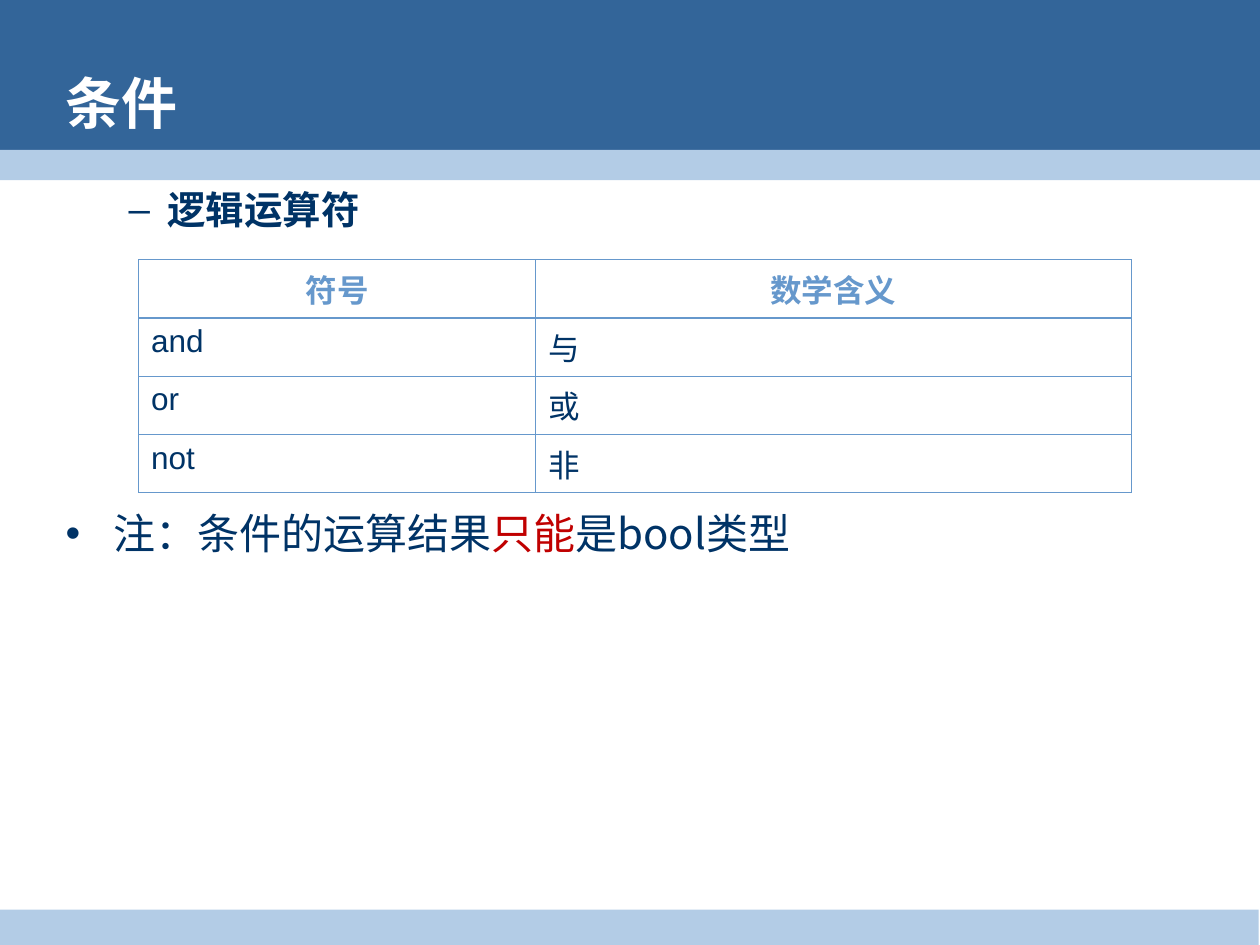
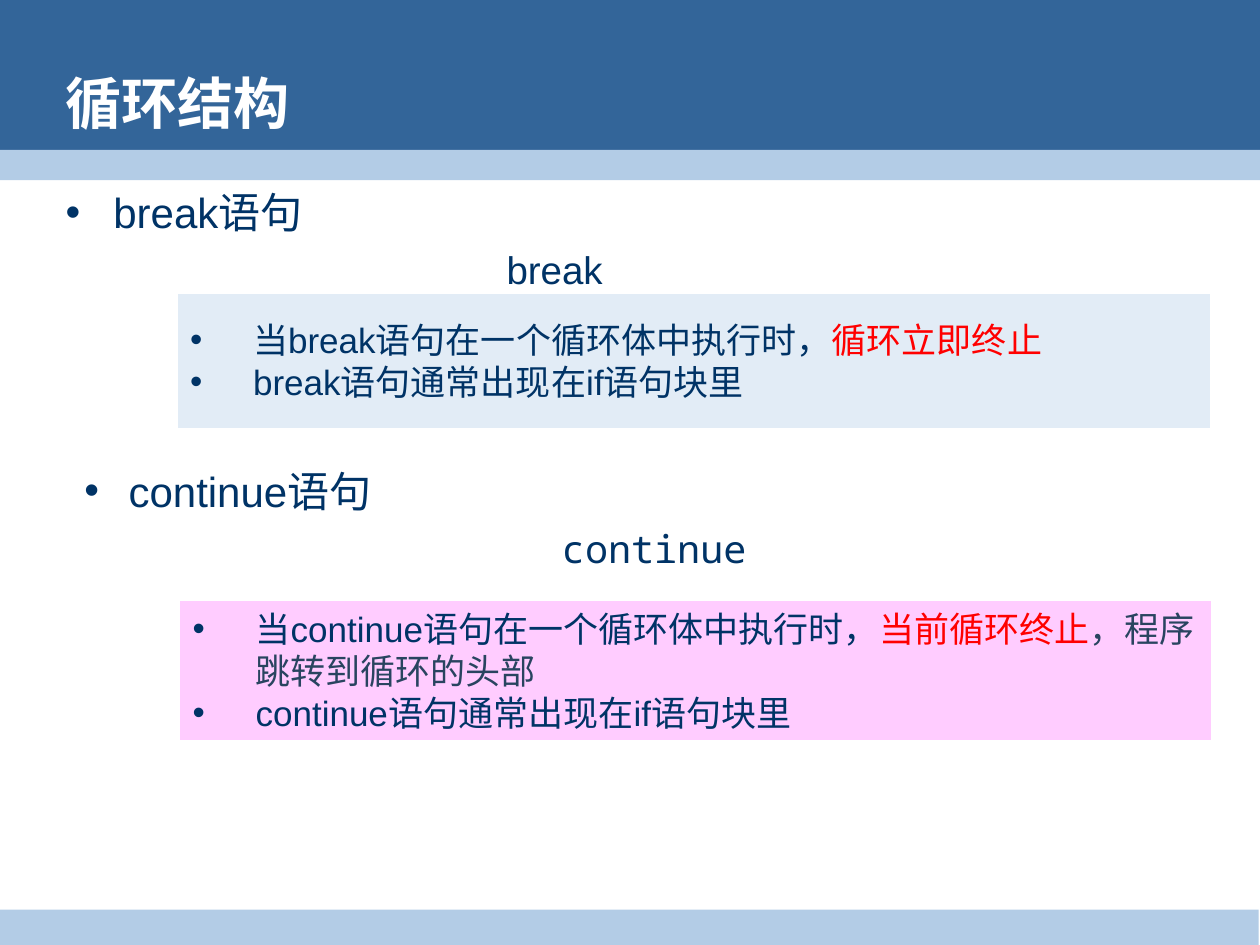
import pptx
import pptx.dml.color
import pptx.enum.shapes
import pptx.enum.text
import pptx.oxml
import pptx.oxml.ns
import pptx.util
import lxml.etree

Inches = pptx.util.Inches
Pt = pptx.util.Pt
ALIGN = pptx.enum.text.PP_ALIGN
ANCHOR = pptx.enum.text.MSO_ANCHOR
SHAPE = pptx.enum.shapes.MSO_SHAPE
NAVY, BLUE, PALE, SKY = "003366", "336599", "B3CCE6", "6698CC"
RED, DARK_RED, SLATE = "FF0000", "C00000", "294460"
SANS, CJK, MONO = "Arial", "Noto Sans CJK SC", "Noto Sans Mono"


def rgb(value):
    return pptx.dml.color.RGBColor.from_string(value)


def child(parent, tag, **attrs):
    return lxml.etree.SubElement(parent, pptx.oxml.ns.qn(tag), attrs)


def add_text(p, text, size=24, color=NAVY, font=SANS, bold=False):
    r = p.add_run()
    r.text = text
    r.font.size = Pt(size)
    r.font.bold = bold
    r.font.name = font
    r.font.color.rgb = rgb(color)
    child(r.font._element, "a:ea", typeface=CJK)


class Deck:
    def __init__(self):
        self.prs = pptx.Presentation()
        self.prs.slide_width, self.prs.slide_height = Inches(10), Inches(7.5)
        self.layout = self.prs.slide_layouts[1]
        self.s = None

    def box(self, at, fill, kind=SHAPE.RECTANGLE):
        sp = self.s.shapes.add_shape(kind, *map(Inches, at))
        sp.shadow.inherit = False
        sp.fill.solid()
        sp.fill.fore_color.rgb = rgb(fill)
        sp.line.fill.background()
        return sp

    def bands(self):
        bands = (((0, 0, 10, 1.31), BLUE), ((0, 1.19, 10, 0.24), PALE),
                 ((0, 7.22, 9.99, 0.3), PALE))
        for i, (at, fill) in enumerate(bands):
            sp = self.box(at, fill)
            sp.element.nvSpPr.cNvPr.set("id", str(100 + i))
            self.layout.shapes.element.insert(2 + i, sp.element)

    def place(self, sp, at, anchor):
        sp.left, sp.top, sp.width, sp.height = map(Inches, at)
        tf = sp.text_frame
        tf.word_wrap = True
        tf.auto_size = pptx.enum.text.MSO_AUTO_SIZE.NONE
        tf.vertical_anchor = anchor
        return tf

    def slide(self, title):
        first = self.s is None
        self.s = self.prs.slides.add_slide(self.layout)
        if first:
            self.bands()
        tf = self.place(self.s.shapes.title, (0.42, 0.52, 9.06, 0.58), ANCHOR.MIDDLE)
        p = tf.paragraphs[0]
        p.alignment = ALIGN.LEFT
        add_text(p, title, size=32, color="FFFFFF", bold=True)

    def paragraph(self, tf, runs, left, hang=0, before=0, bullet=None, level=0, **style):
        p = tf.paragraphs[0] if not tf.paragraphs[0].runs else tf.add_paragraph()
        p.level = level
        p.alignment = ALIGN.LEFT
        p.space_before = Pt(before)
        pPr = p._p.get_or_add_pPr()
        pPr.set("marL", str(Inches(left)))
        pPr.set("indent", str(-Inches(hang)))
        if bullet:
            child(child(pPr, "a:buClr"), "a:srgbClr", val=NAVY)
            child(pPr, "a:buFont", typeface=SANS)
            child(pPr, "a:buChar", char=bullet)
        else:
            child(pPr, "a:buNone")
        for text, color in runs:
            add_text(p, text, color=color, **style)

    def body(self, paragraphs):
        tf = self.place(self.s.placeholders[1], (0.42, 1.43, 9.48, 5.83), ANCHOR.TOP)
        for paragraph in paragraphs:
            self.paragraph(tf, **paragraph)

    def note(self, at, fill, lines):
        sp = self.box(at, fill, SHAPE.FLOWCHART_PROCESS)
        tf = self.place(sp, at, ANCHOR.MIDDLE)
        for runs in lines:
            self.paragraph(tf, runs, left=0.5, hang=0.5, bullet="•", size=20)

    def border(self, cell, row):
        tcPr = cell._tc.get_or_add_tcPr()
        for i, side in enumerate("LRTB"):
            heavy = (row, side) in ((0, "B"), (1, "T"))
            ln = child(tcPr, f"a:ln{side}", w=str(Pt(1.47 if heavy else 0.45)))
            child(child(ln, "a:solidFill"), "a:srgbClr", val=SKY)
            tcPr.insert(i, ln)

    def table(self, at, widths, row_height, rows):
        frame = self.s.shapes.add_table(len(rows), len(widths), *map(Inches, at))
        table = frame.table
        table.first_row = table.horz_banding = False
        for column, width in zip(table.columns, widths):
            column.width = Inches(width)
        for i, values in enumerate(rows):
            table.rows[i].height = Inches(row_height)
            for j, value in enumerate(values):
                cell = table.cell(i, j)
                cell.fill.background()
                self.border(cell, i)
                p = cell.text_frame.paragraphs[0]
                p.alignment = ALIGN.LEFT if i else ALIGN.CENTER
                add_text(p, value, size=18, color=NAVY if i else SKY, bold=i == 0)


def conditions(deck):
    deck.slide("条件")
    deck.body([
        dict(runs=[("逻辑运算符", NAVY)], left=0.81, hang=0.31, bullet="–",
             level=1, size=22, bold=True),
        dict(runs=[("注：条件的运算结果", NAVY), ("只能", DARK_RED), ("是bool类型", NAVY)],
             left=0.38, hang=0.38, before=157, bullet="•", font=CJK),
    ])
    deck.table((1.1, 2.06, 7.88, 1.84), (3.15, 4.73), 0.46, [
        ("符号", "数学含义"), ("and", "与"), ("or", "或"), ("not", "非")])


def loops(deck):
    deck.slide("循环结构")
    deck.body([
        dict(runs=[("break语句", NAVY)], left=0.38, hang=0.38, bullet="•"),
        dict(runs=[("break", NAVY)], left=3.5, before=5.5, level=1, size=22),
        dict(runs=[("continue语句", NAVY)], left=0.5, hang=0.35, before=98.5,
             bullet="•", level=1),
        dict(runs=[("continue", NAVY)], left=3.94, before=5.5, level=3, size=22, font=MONO),
    ])
    deck.note((1.41, 2.33, 8.19, 1.07), "E2ECF6", [
        [("当break语句在一个循环体中执行时，", NAVY), ("循环立即终止", RED)],
        [("break语句通常出现在if语句块里", NAVY)]])
    deck.note((1.43, 4.77, 8.18, 1.1), "FFCCFF", [
        [("当continue语句在一个循环体中执行时，", NAVY), ("当前循环终止", RED),
         ("，程序跳转到循环的头部", SLATE)],
        [("continue语句通常出现在if语句块里", NAVY)]])


def main():
    deck = Deck()
    conditions(deck)
    loops(deck)
    deck.prs.save("out.pptx")


if __name__ == "__main__":
    main()
